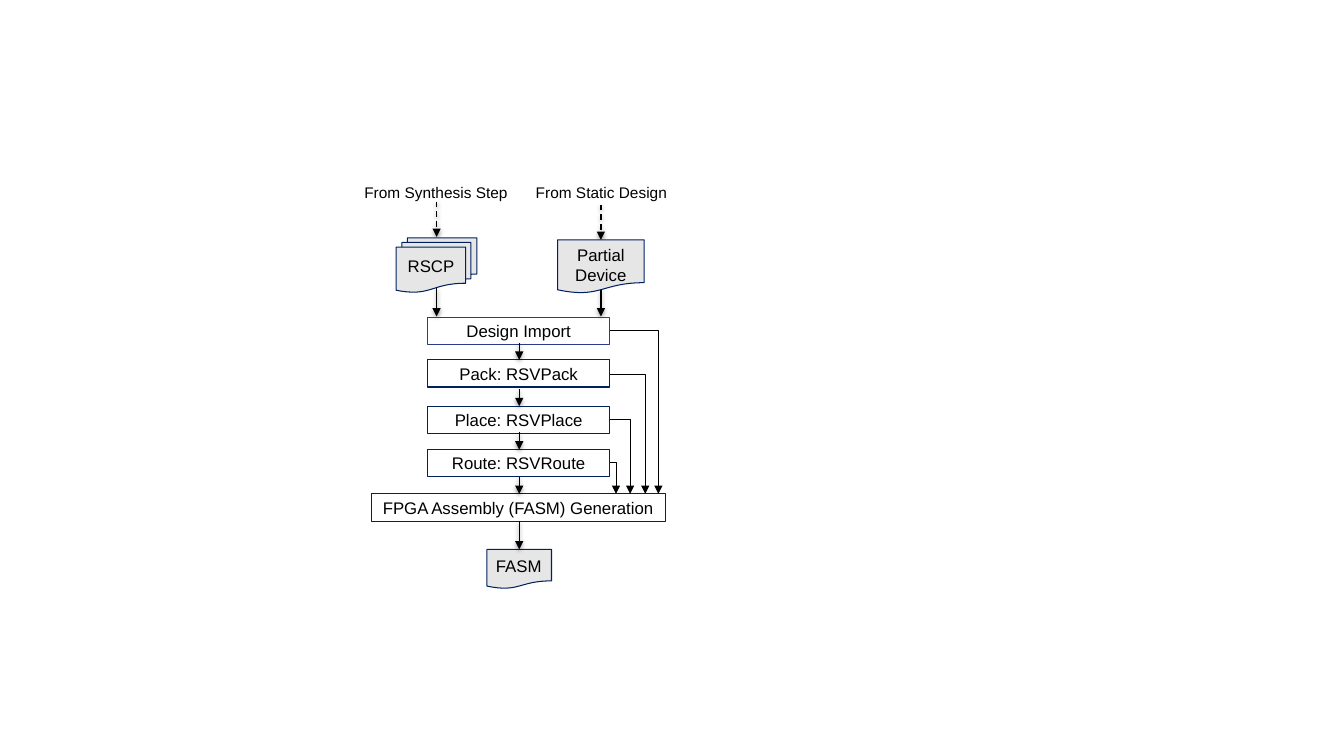
from lxml import etree
from pptx import Presentation
from pptx.dml.color import RGBColor
from pptx.enum.dml import MSO_LINE
from pptx.enum.shapes import MSO_CONNECTOR, MSO_SHAPE
from pptx.enum.text import MSO_ANCHOR, MSO_AUTO_SIZE, PP_ALIGN
from pptx.oxml.ns import qn
from pptx.util import Inches, Pt

STRAIGHT, ELBOW = MSO_CONNECTOR.STRAIGHT, MSO_CONNECTOR.ELBOW
RECTANGLE = MSO_SHAPE.RECTANGLE
DOCUMENT = MSO_SHAPE.FLOWCHART_DOCUMENT
MULTIDOCUMENT = MSO_SHAPE.FLOWCHART_MULTIDOCUMENT
TOP, MIDDLE = MSO_ANCHOR.TOP, MSO_ANCHOR.MIDDLE
CENTER = PP_ALIGN.CENTER
GROW = MSO_AUTO_SIZE.SHAPE_TO_FIT_TEXT
DASH = MSO_LINE.DASH

COLORS = {"ink": "000000", "navy": "002060", "blue": "2B3E85", "gray": "E7E6E6"}
RSCP_X, DEVICE_X, FLOW_X = 4.33, 5.96, 5.15
STEP_LEFT, STEP_WIDTH, STEP_HEIGHT = 4.24, 1.81, 0.27
STEP_RIGHT = STEP_LEFT + STEP_WIDTH
FASM_TOP = 4.9

deck = Presentation()
deck.slide_width, deck.slide_height = Inches(13.33), Inches(7.5)
page = deck.slides.add_slide(deck.slide_layouts[6])


def write(box, text, size=12, anchor=MIDDLE, insets=(0, 0, 0, 0)):
    frame = box.text_frame
    frame.word_wrap = True
    frame.vertical_anchor = anchor
    (frame.margin_left, frame.margin_top,
     frame.margin_right, frame.margin_bottom) = map(Inches, insets)
    para = frame.paragraphs[0]
    para.alignment = CENTER
    span = para.add_run()
    span.text = text
    span.font.name = "Arial"
    span.font.size = Pt(size)
    span.font.color.rgb = RGBColor.from_string(COLORS["ink"])


def add_arrow(start, end, kind=STRAIGHT, width=1, dash=None, shadow=True):
    arrow = page.shapes.add_connector(kind, *map(Inches, start + end))
    arrow.line.color.rgb = RGBColor.from_string(COLORS["ink"])
    arrow.line.width = Pt(width)
    if dash:
        arrow.line.dash_style = dash
    properties = arrow.element.spPr
    etree.SubElement(properties.find(qn("a:ln")), qn("a:tailEnd"), type="triangle")
    effects = etree.SubElement(properties, qn("a:effectLst"))
    if shadow:
        outer = etree.SubElement(
            effects, qn("a:outerShdw"), blurRad=str(Pt(3.1)), dist=str(Pt(1.6)),
            dir="5400000", rotWithShape="0")
        color = etree.SubElement(outer, qn("a:srgbClr"), val=COLORS["ink"])
        etree.SubElement(color, qn("a:alpha"), val="38000")
    return arrow


# Arrows into and out of the two inputs
for x, top, tip in [(RSCP_X, 2, 2.35), (DEVICE_X, 2.03, 2.38)]:
    add_arrow((x, top), (x, tip), dash=DASH)
    add_arrow((x, 2.86), (x, 3.14))

# Document symbols
for kind, *place in [
    (MULTIDOCUMENT, 3.93, 2.36, 0.8, 0.54),
    (DOCUMENT, 5.53, 2.38, 0.86, 0.53),
    (DOCUMENT, 4.83, 5.45, 0.64, 0.39),
]:
    document = page.shapes.add_shape(kind, *map(Inches, place))
    document.shadow.inherit = False
    document.fill.solid()
    document.fill.fore_color.rgb = RGBColor.from_string(COLORS["gray"])
    document.line.color.rgb = RGBColor.from_string(COLORS["navy"])
    document.line.width = Pt(0.75)

# Labels
normal = (0.1, 0.05, 0.1, 0.05)
for text, place, size, anchor, insets in [
    ("From Synthesis Step", (3.5, 1.77, 1.65, 0.29), 11, TOP, normal),
    ("From Static Design", (5.14, 1.77, 1.65, 0.29), 11, TOP, normal),
    ("RSCP", (3.94, 2.49, 0.67, 0.29), 12, MIDDLE, (0, 0, 0, 0)),
    ("Partial Device", (5.43, 2.33, 1.06, 0.59), 12, MIDDLE, normal),
    ("FASM", (4.75, 5.46, 0.79, 0.35), 12, MIDDLE, (0.1, 0.05, 0.1, 0.1)),
]:
    label = page.shapes.add_textbox(*map(Inches, place))
    write(label, text, size=size, anchor=anchor, insets=insets)
    label.text_frame.auto_size = GROW

# Process steps
for text, left, top, width, outline in [
    ("Design Import", STEP_LEFT, 3.15, STEP_WIDTH, "blue"),
    ("Pack: RSVPack", STEP_LEFT, 3.57, STEP_WIDTH, "navy"),
    ("Place: RSVPlace", STEP_LEFT, 4.03, STEP_WIDTH, "navy"),
    ("Route: RSVRoute", STEP_LEFT, 4.46, STEP_WIDTH, "navy"),
    ("FPGA Assembly (FASM) Generation", 3.68, FASM_TOP, 2.92, "navy"),
]:
    step = page.shapes.add_shape(
        RECTANGLE, *map(Inches, (left, top, width, STEP_HEIGHT)))
    step.shadow.inherit = False
    step.fill.background()
    step.line.color.rgb = RGBColor.from_string(COLORS[outline])
    step.line.width = Pt(0.75)
    write(step, text)

# Main flow
for top, tip in [(3.4, 3.57), (3.86, 4.03), (4.29, 4.46), (4.73, FASM_TOP), (5.17, 5.45)]:
    add_arrow((FLOW_X, top), (FLOW_X, tip))

# Each step also feeds FASM generation
for x, y in [(6.11, 4.59), (6.25, 4.16), (6.4, 3.71), (6.53, 3.28)]:
    feed = add_arrow((STEP_RIGHT, y), (x, FASM_TOP), kind=ELBOW, width=0.5, shadow=False)
    feed.element.spPr.find(qn("a:prstGeom")).set("prst", "bentConnector2")

deck.save("out.pptx")
